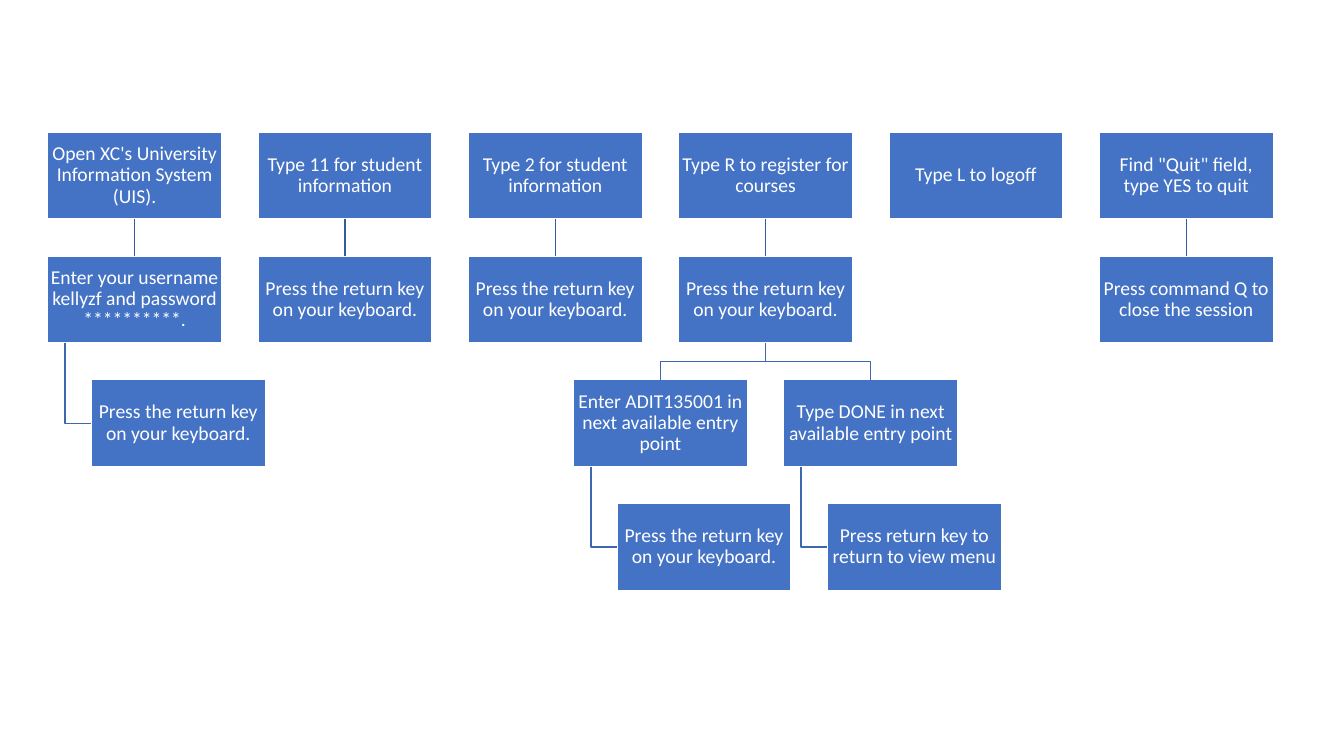
from dataclasses import dataclass

from lxml import etree
from pptx import Presentation
from pptx.dml.color import RGBColor
from pptx.enum.shapes import MSO_CONNECTOR, MSO_SHAPE
from pptx.enum.text import MSO_ANCHOR, PP_ALIGN
from pptx.oxml.ns import qn
from pptx.shapes.autoshape import Shape
from pptx.shapes.shapetree import SlideShapes
from pptx.util import Cm, Pt

RECTANGLE = MSO_SHAPE.RECTANGLE
STRAIGHT = MSO_CONNECTOR.STRAIGHT
MIDDLE = MSO_ANCHOR.MIDDLE
CENTER = PP_ALIGN.CENTER
BOTTOM_SIDE, TOP_SIDE = 2, 0

COLORS = {
    "box": "4472C4",
    "text": "FFFFFF",
    "border": "FFFFFF",
    "straight": "365B9D",
    "bent": "3E67B2",
}

LEFT, TOP = Cm(1.2), Cm(3.33)
COLUMN_STEP, ROW_STEP = Cm(5.3), Cm(3.12)
BOX_WIDTH, BOX_HEIGHT = Cm(4.39), Cm(2.19)
HANGING_INDENT, STEM_INDENT = Cm(1.1), Cm(0.44)
LINE_WIDTH = Pt(1)
INSET = Cm(0.03)

FRAME_FORMAT = {
    "word_wrap": True,
    "vertical_anchor": MIDDLE,
    "margin_left": INSET,
    "margin_right": INSET,
    "margin_top": INSET,
    "margin_bottom": INSET,
}
PARAGRAPH_FORMAT = {"alignment": CENTER, "line_spacing": 0.9}
FONT_FORMAT = {"name": "Calibri", "size": Pt(14)}


@dataclass(frozen=True)
class Step:
    """One instruction; a hanging step sits indented under its parent."""

    text: str
    column: float
    children: tuple["Step", ...] = ()
    hanging: bool = False


PRESS_RETURN = "Press the return key on your keyboard."

PROCEDURE = (
    Step("Open XC's University Information System (UIS).", 0, (
        Step("Enter your username kellyzf and password **********.", 0, (
            Step(PRESS_RETURN, 0, hanging=True),
        )),
    )),
    Step("Type 11 for student information", 1, (Step(PRESS_RETURN, 1),)),
    Step("Type 2 for student information", 2, (Step(PRESS_RETURN, 2),)),
    Step("Type R to register for courses", 3, (
        Step(PRESS_RETURN, 3, (
            Step("Enter ADIT135001 in next available entry point", 2.5, (
                Step(PRESS_RETURN, 2.5, hanging=True),
            )),
            Step("Type DONE in next available entry point", 3.5, (
                Step("Press return key to return to view menu", 3.5, hanging=True),
            )),
        )),
    )),
    Step("Type L to logoff", 4),
    Step('Find "Quit" field, type YES to quit', 5, (
        Step("Press command Q to close the session", 5),
    )),
)


def apply_format(target: object, values: dict[str, object]) -> None:
    for attribute, value in values.items():
        setattr(target, attribute, value)


def rgb(role: str) -> RGBColor:
    return RGBColor.from_string(COLORS[role])


def add_box(shapes: SlideShapes, step: Step, row: int) -> Shape:
    left = LEFT + round(step.column * COLUMN_STEP)
    if step.hanging:
        left += HANGING_INDENT
    box = shapes.add_shape(RECTANGLE, left, TOP + row * ROW_STEP, BOX_WIDTH, BOX_HEIGHT)
    box.shadow.inherit = False
    box.fill.solid()
    box.fill.fore_color.rgb = rgb("box")
    box.line.color.rgb = rgb("border")
    box.line.width = LINE_WIDTH

    apply_format(box.text_frame, FRAME_FORMAT)
    paragraph = box.text_frame.paragraphs[0]
    apply_format(paragraph, PARAGRAPH_FORMAT)
    instruction = paragraph.add_run()
    instruction.text = step.text
    apply_format(instruction.font, FONT_FORMAT)
    instruction.font.color.rgb = rgb("text")
    return box


def add_straight_link(shapes: SlideShapes, parent: Shape, child: Shape) -> None:
    link = shapes.add_connector(STRAIGHT, 0, 0, 0, 0)
    link.begin_connect(parent, BOTTOM_SIDE)
    link.end_connect(child, TOP_SIDE)
    link.line.color.rgb = rgb("straight")
    link.line.width = LINE_WIDTH
    etree.SubElement(link._element.spPr, qn("a:effectLst"))


def add_bent_link(shapes: SlideShapes, points: list[tuple[int, int]]) -> None:
    start, *corners = points
    builder = shapes.build_freeform(*start)
    builder.add_line_segments(corners, close=False)
    link = builder.convert_to_shape()
    link.shadow.inherit = False
    link.fill.background()
    link.line.color.rgb = rgb("bent")
    link.line.width = LINE_WIDTH


def link_boxes(shapes: SlideShapes, parent: Shape, child: Shape, hanging: bool) -> None:
    """Hang the child from a side stem, drop straight down, or fork to one side."""
    parent_bottom = parent.top + BOX_HEIGHT
    if hanging:
        stem_x = parent.left + STEM_INDENT
        child_middle = child.top + BOX_HEIGHT // 2
        add_bent_link(shapes, [(stem_x, parent_bottom), (stem_x, child_middle),
                               (child.left, child_middle)])
    elif parent.left == child.left:
        add_straight_link(shapes, parent, child)
    else:
        parent_x, child_x = (box.left + BOX_WIDTH // 2 for box in (parent, child))
        fork_y = (parent_bottom + child.top) // 2
        add_bent_link(shapes, [(parent_x, parent_bottom), (parent_x, fork_y),
                               (child_x, fork_y), (child_x, child.top)])


def add_branch(shapes: SlideShapes, step: Step, row: int = 0) -> Shape:
    """Draw a step and everything below it, and return the step's box."""
    box = add_box(shapes, step, row)
    for child in step.children:
        child_box = add_branch(shapes, child, row + 1)
        link_boxes(shapes, box, child_box, child.hanging)
    return box


def main() -> None:
    presentation = Presentation()
    presentation.slide_width, presentation.slide_height = Cm(33.87), Cm(19.05)
    blank_layout = presentation.slide_layouts[6]
    slide = presentation.slides.add_slide(blank_layout)
    for step in PROCEDURE:
        add_branch(slide.shapes, step)
    presentation.save("out.pptx")


if __name__ == "__main__":
    main()
